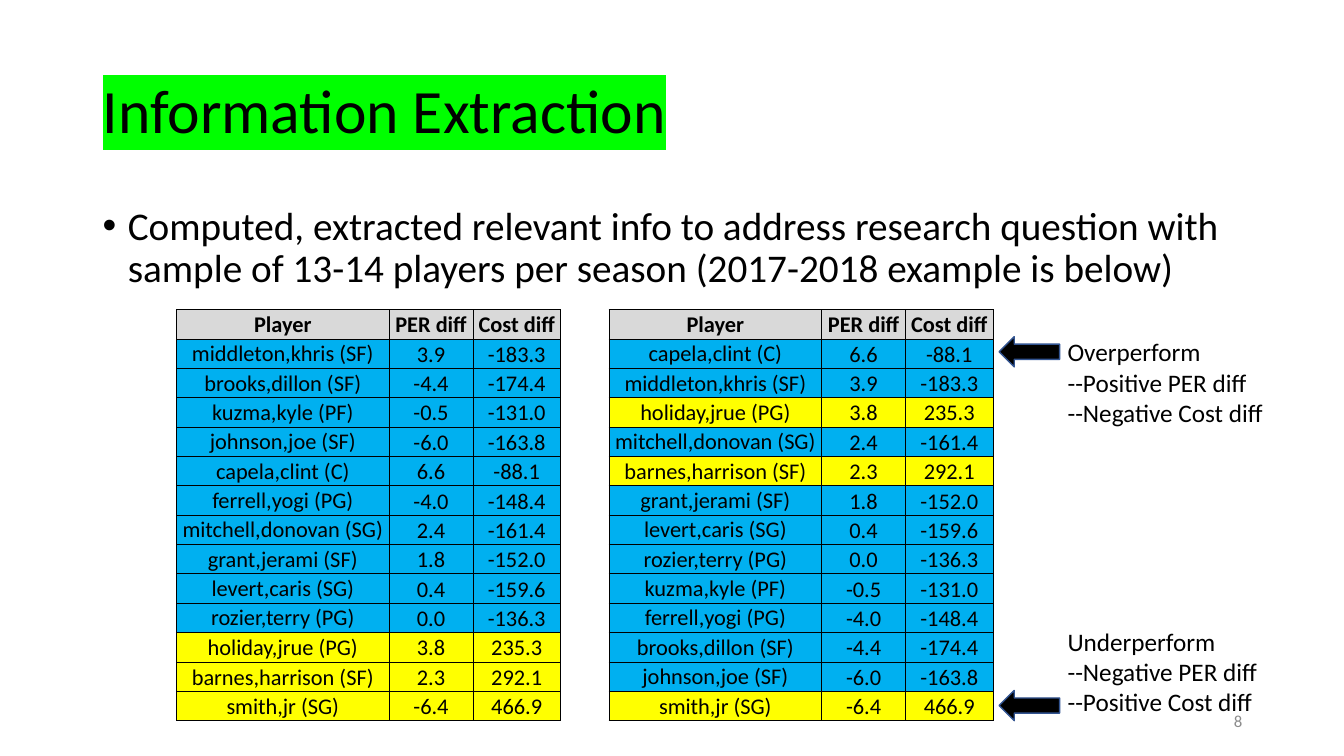
from lxml import etree
from pptx import Presentation
from pptx.dml.color import RGBColor
from pptx.enum.shapes import MSO_SHAPE
from pptx.enum.text import MSO_ANCHOR, MSO_AUTO_SIZE, PP_ALIGN
from pptx.oxml.ns import qn
from pptx.util import Inches, Pt

LEFT_ARROW = MSO_SHAPE.LEFT_ARROW
MIDDLE, BOTTOM = MSO_ANCHOR.MIDDLE, MSO_ANCHOR.BOTTOM
NO_FIT = MSO_AUTO_SIZE.NONE
LEFT, CENTER, RIGHT = PP_ALIGN.LEFT, PP_ALIGN.CENTER, PP_ALIGN.RIGHT

BLACK = RGBColor(0x00, 0x00, 0x00)
GREEN = RGBColor(0x00, 0xFF, 0x00)
GRAY = RGBColor(0x8C, 0x8C, 0x8C)
HEADER_GRAY = RGBColor(0xD9, 0xD9, 0xD9)
BLUE = RGBColor(0x00, 0xB0, 0xF0)
YELLOW = RGBColor(0xFF, 0xFF, 0x00)
ARROW_EDGE = RGBColor(0x32, 0x54, 0x91)

FONT = "Calibri"
COLUMNS = (2.11, 0.83, 0.87)
ROW = 4.08 / 14
TABLE_TOP = 3.07
HEADER = ("Player", "PER diff", "Cost diff")
PLAYERS = [
    ("middleton,khris (SF)", 3.9, -183.3),
    ("brooks,dillon (SF)", -4.4, -174.4),
    ("kuzma,kyle (PF)", -0.5, -131.0),
    ("johnson,joe (SF)", -6.0, -163.8),
    ("capela,clint (C)", 6.6, -88.1),
    ("ferrell,yogi (PG)", -4.0, -148.4),
    ("mitchell,donovan (SG)", 2.4, -161.4),
    ("grant,jerami (SF)", 1.8, -152.0),
    ("levert,caris (SG)", 0.4, -159.6),
    ("rozier,terry (PG)", 0.0, -136.3),
    ("holiday,jrue (PG)", 3.8, 235.3),
    ("barnes,harrison (SF)", 2.3, 292.1),
    ("smith,jr (SG)", -6.4, 466.9),
]


def style(font, size, color=BLACK, bold=False):
    font.name = FONT
    font.size = Pt(size)
    font.bold = bold
    font.color.rgb = color


def add_text(page, box, lines, size, color=BLACK, align=LEFT, wrap=True):
    frame = page.shapes.add_textbox(*map(Inches, box)).text_frame
    frame.word_wrap = wrap
    frame.text = "\n".join(lines)
    for para in frame.paragraphs:
        para.alignment = align
        style(para.font, size, color)
    return frame


def add_title(page, box, text):
    title = page.shapes.title
    title.left, title.top, title.width, title.height = map(Inches, box)
    frame = title.text_frame
    frame.auto_size = NO_FIT
    frame.vertical_anchor = MIDDLE
    para = frame.paragraphs[0]
    para.alignment = LEFT
    para.line_spacing = 0.9
    span = para.add_run()
    span.text = text
    style(span.font, 44)
    highlight = etree.Element(qn("a:highlight"))
    etree.SubElement(highlight, qn("a:srgbClr"), val=str(GREEN))
    span.font.fill
    span_properties = span._r.get_or_add_rPr()
    span_properties.find(qn("a:solidFill")).addnext(highlight)


def add_bullet(page, box, text):
    para = add_text(page, box, [text], 28).paragraphs[0]
    para.line_spacing = 0.9
    para.space_before = Pt(10)
    properties = para._p.get_or_add_pPr()
    properties.set("marL", str(Inches(0.25)))
    properties.set("indent", str(-Inches(0.25)))
    bullet = etree.Element(qn("a:buChar"), char="•")
    properties.find(qn("a:defRPr")).addprevious(bullet)
    bullet.addprevious(etree.Element(qn("a:buFont"), typeface="Arial"))


def add_borders(cell):
    properties = cell._tc.get_or_add_tcPr()
    for side in ("lnL", "lnR", "lnT", "lnB"):
        line = etree.SubElement(properties, qn("a:" + side), w=str(Pt(0.5)))
        fill = etree.SubElement(line, qn("a:solidFill"))
        etree.SubElement(fill, qn("a:srgbClr"), val=str(BLACK))


def fill_cell(cell, text, color, anchor, bold):
    add_borders(cell)
    cell.fill.solid()
    cell.fill.fore_color.rgb = color
    cell.margin_left = cell.margin_right = cell.margin_top = Inches(0.01)
    cell.margin_bottom = 0
    cell.vertical_anchor = anchor
    cell.text = text
    para = cell.text_frame.paragraphs[0]
    para.alignment = CENTER
    style(para.font, 16, bold=bold)


def add_player_table(page, left, top, players):
    rows = [(HEADER, HEADER_GRAY)]
    for name, per, cost in players:
        rows.append(((name, f"{per:.1f}", f"{cost:.1f}"), YELLOW if cost > 0 else BLUE))
    box = (left, top, sum(COLUMNS), ROW * len(rows))
    table = page.shapes.add_table(len(rows), len(COLUMNS), *map(Inches, box)).table
    table.first_row = table.horz_banding = False
    for column, width in zip(table.columns, COLUMNS):
        column.width = Inches(width)
    for r, (texts, color) in enumerate(rows):
        table.rows[r].height = Inches(ROW)
        for c, text in enumerate(texts):
            anchor = MIDDLE if c == 0 and color != YELLOW else BOTTOM
            fill_cell(table.cell(r, c), text, color, anchor, r == 0)


def add_callout(page, left, arrow_top, text_top, lines):
    arrow = page.shapes.add_shape(LEFT_ARROW, *map(Inches, (left, arrow_top, 0.6, 0.3)))
    arrow.shadow.inherit = False
    arrow.fill.solid()
    arrow.fill.fore_color.rgb = BLACK
    arrow.line.color.rgb = ARROW_EDGE
    arrow.line.width = Pt(1)
    add_text(page, (left + 0.58, text_top, 2.16, 1.01), lines, 18, wrap=False)


def build_extraction_slide(deck):
    page = deck.slides.add_slide(deck.slide_layouts[5])
    add_title(page, (0.92, 0.4, 11.5, 1.45), "Information Extraction")
    add_bullet(page, (0.92, 2, 11.5, 1),
               "Computed, extracted relevant info to address research question with "
               "sample of 13-14 players per season (2017-2018 example is below)")
    number = add_text(page, (9.42, 6.95, 3, 0.4), ["8"], 12, GRAY, RIGHT)
    number.vertical_anchor = MIDDLE
    by_per = sorted(PLAYERS, key=lambda player: player[1], reverse=True)
    add_player_table(page, 1.75, TABLE_TOP, PLAYERS)
    add_player_table(page, 6.04, TABLE_TOP, by_per)
    add_callout(page, 9.91, 3.34, 3.29,
                ["Overperform", "--Positive PER diff", "--Negative Cost diff"])
    add_callout(page, 9.91, 6.85, 6.16,
                ["Underperform", "--Negative PER diff", "--Positive Cost diff"])


def main():
    deck = Presentation()
    deck.slide_width, deck.slide_height = Inches(13.33), Inches(7.5)
    build_extraction_slide(deck)
    deck.save("out.pptx")


if __name__ == "__main__":
    main()
